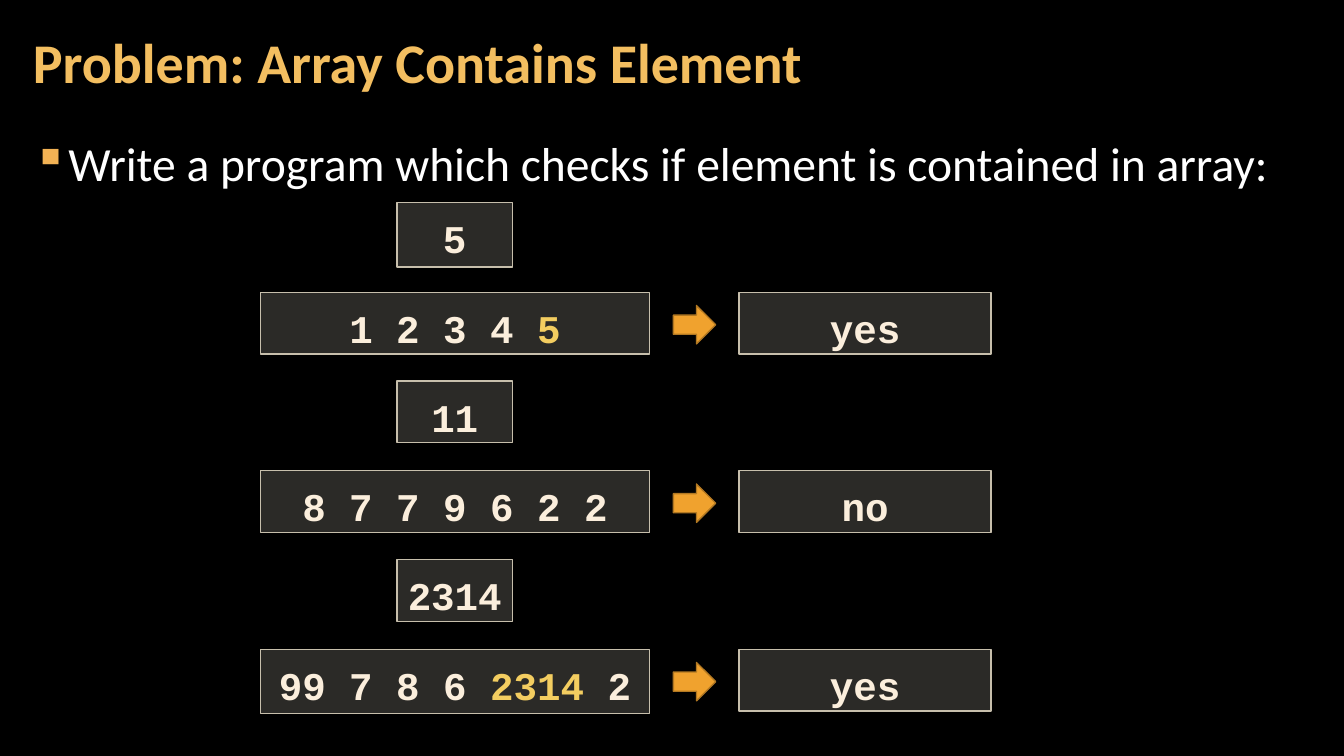
from dataclasses import dataclass

from lxml import etree
from pptx import Presentation
from pptx.dml.color import RGBColor
from pptx.enum import shapes, text
from pptx.oxml import ns
from pptx.util import Pt


@dataclass(frozen=True)
class Theme:
    background: RGBColor = RGBColor.from_string("000000")
    title: RGBColor = RGBColor.from_string("F3BE60")
    body: RGBColor = RGBColor.from_string("FFFFFF")
    bullet: str = "F2B254"
    box_fill: RGBColor = RGBColor.from_string("D9D5C7")
    box_opacity: int = 20
    box_line: RGBColor = RGBColor.from_string("C7BFAC")
    code: RGBColor = RGBColor.from_string("FBEEDC")
    highlight: RGBColor = RGBColor.from_string("F3CD60")
    arrow_fill: RGBColor = RGBColor.from_string("F0A22E")
    arrow_line: RGBColor = RGBColor.from_string("B27822")
    text_font: str = "Calibri"
    code_font: str = "Courier New"
    title_size: int = 40
    body_size: int = 34
    code_size: int = 28


theme = Theme()

presentation = Presentation()
presentation.slide_width, presentation.slide_height = Pt(960), Pt(540)
slide = presentation.slides.add_slide(presentation.slide_layouts[6])
slide.background.fill.solid()
slide.background.fill.fore_color.rgb = theme.background


def add_heading(words, top, width, height, size, color):
    """Add a left-aligned text box and return its text frame."""
    frame = slide.shapes.add_textbox(Pt(15), Pt(top), Pt(width), Pt(height)).text_frame
    frame.word_wrap = True
    frame.margin_left = frame.margin_right = Pt(8.5)
    frame.margin_top = frame.margin_bottom = Pt(2.83)
    paragraph = frame.paragraphs[0]
    paragraph.text = words
    paragraph.font.name = theme.text_font
    paragraph.font.size = Pt(size)
    paragraph.font.color.rgb = color
    return frame


def add_code_box(parts, left, top, width, height):
    """Add a translucent box; parts are (words, color) pairs."""
    box = slide.shapes.add_shape(
        shapes.MSO_SHAPE.RECTANGLE, Pt(left), Pt(top), Pt(width), Pt(height))
    box.shadow.inherit = False
    box.fill.solid()
    box.fill.fore_color.rgb = theme.box_fill
    fill_color = box.fill._xPr.find(".//" + ns.qn("a:srgbClr"))
    etree.SubElement(fill_color, ns.qn("a:alpha"), val=str(theme.box_opacity * 1000))
    box.line.color.rgb = theme.box_line
    box.line.width = Pt(1)
    box.text_frame.vertical_anchor = text.MSO_ANCHOR.TOP
    paragraph = box.text_frame.paragraphs[0]
    paragraph.alignment = text.PP_ALIGN.CENTER
    paragraph.line_spacing = 1.15
    paragraph.font.name = theme.code_font
    paragraph.font.size = Pt(theme.code_size)
    paragraph.font.bold = True
    for words, color in parts:
        if words:
            run = paragraph.add_run()
            run.text = words
            run.font.color.rgb = color


# Title
title = add_heading("Problem: Array Contains Element", 3, 754, 87,
                    theme.title_size, theme.title)
title.vertical_anchor = text.MSO_ANCHOR.MIDDLE
title.paragraphs[0].font.bold = True
title.paragraphs[0].line_spacing = 0.9

# Task statement with a square bullet
task = add_heading("Write a program which checks if element is contained in array:",
                   90.7, 929.5, 53.3, theme.body_size, theme.body).paragraphs[0]
task.line_spacing = 1.05
task.space_before = task.space_after = Pt(6)
properties = task._p.get_or_add_pPr()
properties.set("marL", str(Pt(24)))
properties.set("indent", str(Pt(-24)))
bullet_color = etree.SubElement(properties, ns.qn("a:buClr"))
etree.SubElement(bullet_color, ns.qn("a:srgbClr"), val=theme.bullet)
etree.SubElement(properties, ns.qn("a:buChar"), char="▪")
# The schema places default run properties after the bullet
properties.append(properties.find(ns.qn("a:defRPr")))

# Examples: element, array, answer, element box height, array box height
examples = [
    ("5", "1 2 3 4 5", "yes", 46, 44),
    ("11", "8 7 7 9 6 2 2", "no", 44, 44),
    ("2314", "99 7 8 6 2314 2", "yes", 44, 46),
]
first_top, example_pitch, array_offset = 144.8, 127.5, 64

for index, (element, array, answer, element_height, array_height) in enumerate(examples):
    element_top = first_top + index * example_pitch
    array_top = element_top + array_offset
    before, found, after = array.partition(element)

    add_code_box([(element, theme.code)], 283.6, element_top, 82.4, element_height)
    add_code_box([(before, theme.code), (found, theme.highlight), (after, theme.code)],
                 186, array_top, 278, array_height)
    add_code_box([(answer, theme.code)], 528, array_top, 180, 44)

    arrow = slide.shapes.add_shape(
        shapes.MSO_SHAPE.RIGHT_ARROW, Pt(481), Pt(array_top + 9.4), Pt(30.2), Pt(27.4))
    arrow.shadow.inherit = False
    arrow.fill.solid()
    arrow.fill.fore_color.rgb = theme.arrow_fill
    arrow.line.color.rgb = theme.arrow_line
    arrow.line.width = Pt(1)

presentation.save("out.pptx")
